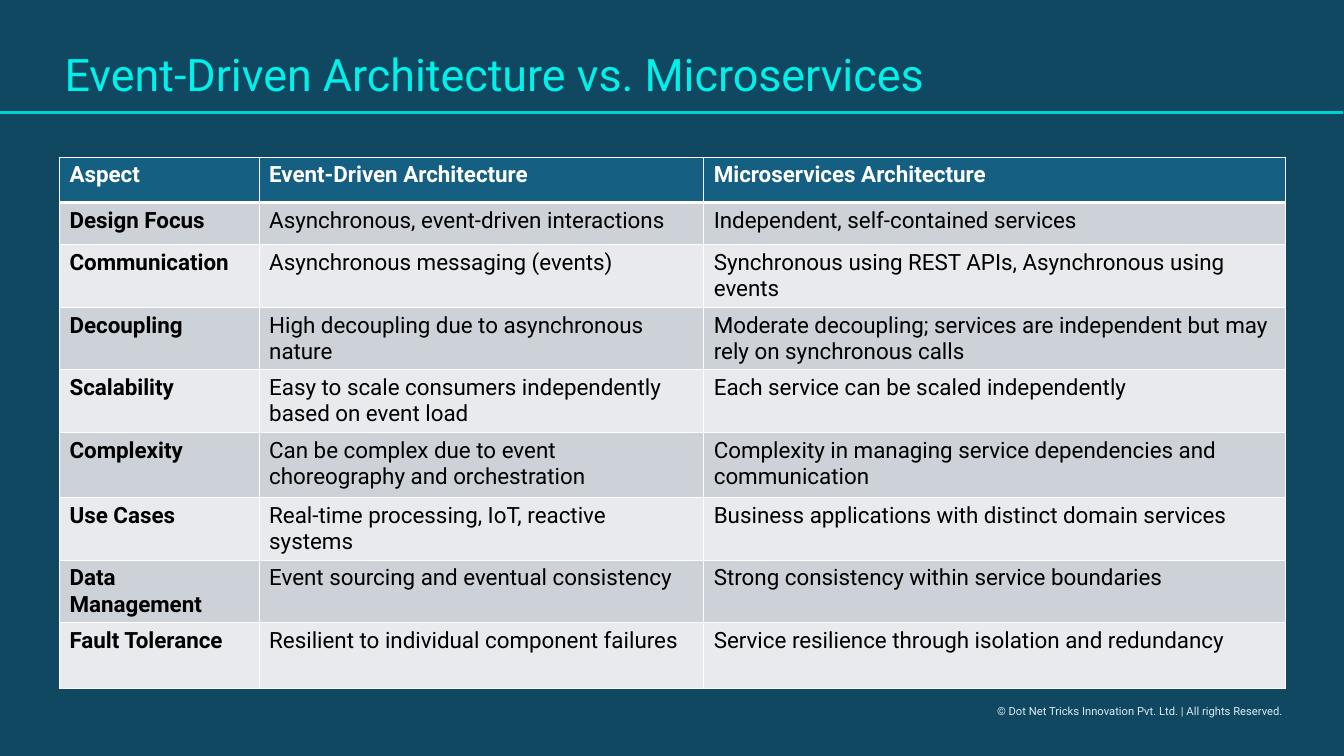
from typing import NamedTuple

from lxml import etree
from pptx import Presentation
from pptx.dml.color import RGBColor
from pptx.enum.shapes import MSO_CONNECTOR
from pptx.enum.text import MSO_ANCHOR, MSO_AUTO_SIZE, PP_ALIGN
from pptx.oxml.ns import qn
from pptx.util import Emu, Pt

LINE = MSO_CONNECTOR.STRAIGHT
MIDDLE, TOP = MSO_ANCHOR.MIDDLE, MSO_ANCHOR.TOP
NO_FIT = MSO_AUTO_SIZE.NONE
LEFT = PP_ALIGN.LEFT
FONT = "Roboto"
SCALE = 9144  # EMU per px, 100 px to the inch


class Row(NamedTuple):
    high: int
    aspect: str
    event: str
    micro: str


HEAD, DARK, LIGHT = "156082", "CCD2D8", "E8EAED"
WHITE, BLACK = "FFFFFF", "000000"
COLS = (198, 441, 577)
ROWS = (
    Row(45, "Aspect", "Event-Driven Architecture", "Microservices Architecture"),
    Row(42, "Design Focus", "Asynchronous, event-driven interactions",
        "Independent, self-contained services"),
    Row(62, "Communication", "Asynchronous messaging (events)",
        "Synchronous using REST APIs, Asynchronous using events"),
    Row(62, "Decoupling", "High decoupling due to asynchronous nature",
        "Moderate decoupling; services are independent but may rely on synchronous calls"),
    Row(62, "Scalability", "Easy to scale consumers independently based on event load",
        "Each service can be scaled independently"),
    Row(65, "Complexity", "Can be complex due to event choreography and orchestration",
        "Complexity in managing service dependencies and communication"),
    Row(62, "Use Cases", "Real-time processing, IoT, reactive systems",
        "Business applications with distinct domain services"),
    Row(62, "Data Management", "Event sourcing and eventual consistency",
        "Strong consistency within service boundaries"),
    Row(65, "Fault Tolerance", "Resilient to individual component failures",
        "Service resilience through isolation and redundancy"),
)


def px(size: int) -> Emu:
    return Emu(size * SCALE)


def rgb(code: str) -> RGBColor:
    return RGBColor.from_string(code)


def write(frame, text: str, size: int, color: str, bold: bool = False) -> None:
    para = frame.paragraphs[0]
    para.alignment = LEFT
    run = para.add_run()
    run.text = text
    run.font.name = FONT
    run.font.size = Pt(size)
    run.font.bold = bold
    run.font.color.rgb = rgb(color)


def edge(cell, side: str, width: int) -> None:
    props = cell._tc.get_or_add_tcPr()
    line = etree.SubElement(props, qn(f"a:ln{side}"), w=str(Pt(width)))
    fill = etree.SubElement(line, qn("a:solidFill"))
    etree.SubElement(fill, qn("a:srgbClr"), val=WHITE)


def add_title(slide, text: str) -> None:
    title = slide.shapes.title
    title.left, title.top, title.width, title.height = map(px, (54, 47, 1216, 58))
    frame = title.text_frame
    frame.word_wrap = True
    frame.auto_size = NO_FIT
    frame.vertical_anchor = MIDDLE
    write(frame, text, 32, "00F0EA")
    frame.paragraphs[0].line_spacing = 0.9
    frame.paragraphs[0].space_before = Pt(0)


def add_rule(slide) -> None:
    rule = slide.shapes.add_connector(LINE, px(-1), px(112), px(1332), px(112))
    rule.line.color.rgb = rgb("00D1CF")
    rule.line.width = Pt(2)
    etree.SubElement(rule._element.spPr, qn("a:effectLst"))


def add_grid(slide) -> None:
    high = sum(row.high for row in ROWS)
    frame = slide.shapes.add_table(len(ROWS), len(COLS), px(59), px(156),
                                   px(sum(COLS)), px(high))
    table = frame.table
    table.horz_banding = False
    for col, width in zip(table.columns, COLS):
        col.width = px(width)
    for r, row in enumerate(ROWS):
        table.rows[r].height = px(row.high)
        back = HEAD if r == 0 else DARK if r % 2 else LIGHT
        # The header is set off by a thicker line
        widths = {"L": 1, "R": 1, "T": 3 if r == 1 else 1, "B": 3 if r == 0 else 1}
        for c, text in enumerate((row.aspect, row.event, row.micro)):
            cell = table.cell(r, c)
            for side, width in widths.items():
                edge(cell, side, width)
            cell.fill.solid()
            cell.fill.fore_color.rgb = rgb(back)
            cell.vertical_anchor = TOP
            write(cell.text_frame, text, 16, BLACK if r else WHITE, r == 0 or c == 0)


def add_foot(slide, text: str) -> None:
    box = slide.shapes.add_textbox(px(979), px(694), px(305), px(24))
    box.text_frame.word_wrap = True
    write(box.text_frame, text, 8, "DCEAF7")


def main() -> None:
    deck = Presentation()
    deck.slide_width, deck.slide_height = px(1333), px(750)
    slide = deck.slides.add_slide(deck.slide_layouts[5])
    slide.background.fill.solid()
    slide.background.fill.fore_color.rgb = rgb("104862")

    # Heading
    add_title(slide, "Event-Driven Architecture vs. Microservices")
    add_rule(slide)

    # Comparison
    add_grid(slide)

    # Footer
    add_foot(slide, "© Dot Net Tricks Innovation Pvt. Ltd. | All rights Reserved.")
    deck.save("out.pptx")


if __name__ == "__main__":
    main()
